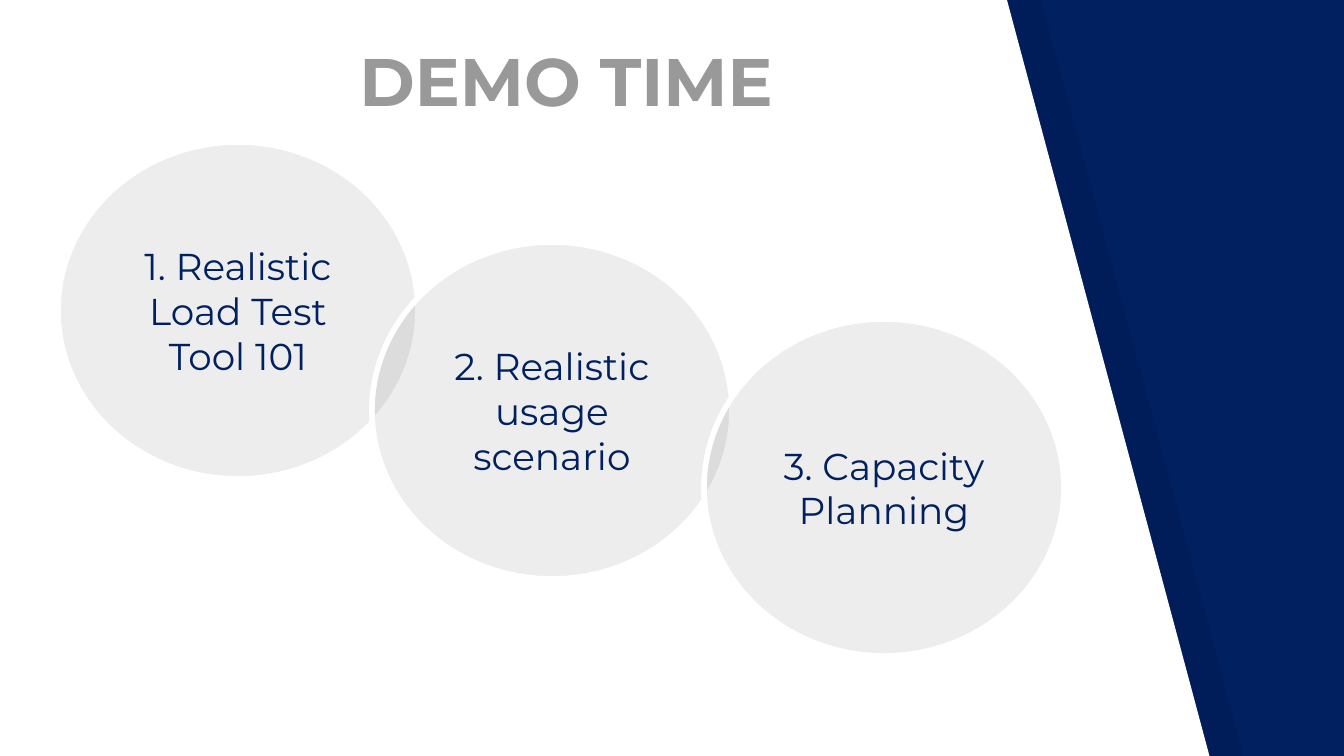
from dataclasses import dataclass
from lxml import etree
from pptx import Presentation
from pptx import util as u
from pptx.dml.color import RGBColor
from pptx.enum import shapes, text
from pptx.oxml.ns import qn

TITLE = "DEMO TIME"
TITLE_BOX = (124, 62, 884, 71)

# Wording, left, top
STEPS = [
    ("1. Realistic Load Test Tool 101", 58, 142),
    ("2. Realistic usage scenario", 372, 242),
    ("3. Capacity Planning", 704, 319),
]
STEP_SIZE = (360, 337)

PAGE_SIZE = (1344, 756)
PANEL = [(0, -1), (0, 758), (1210, 758), (1007, 0)]
PANEL_SHADE_SHIFT = 34


@dataclass(frozen=True)
class Theme:
    font: str = "Montserrat"
    navy: str = "002060"
    white: str = "FFFFFF"
    grey: str = "999999"
    black: str = "000000"
    shade_percent: int = 7
    title_size: int = 36
    step_size: int = 20
    outline: int = 3


THEME = Theme()


def px(length):
    return round(length * 914400 / 134.4)


def paint(shape, color, opacity=100):
    """Give a shape a flat fill, opacity in percent, and no shadow."""
    shape.shadow.inherit = False
    shape.fill.solid()
    shape.fill.fore_color.rgb = RGBColor.from_string(color)
    if opacity < 100:
        color_node = shape.fill._xPr.find(f"{qn('a:solidFill')}/{qn('a:srgbClr')}")
        etree.SubElement(color_node, qn("a:alpha"), val=str(opacity * 1000))


def write(shape, wording, anchor, size, color, bold=False):
    frame = shape.text_frame
    margins = dict.fromkeys(
        ("margin_left", "margin_top", "margin_right", "margin_bottom"), u.Inches(0.1))
    for name, value in {"word_wrap": True, "vertical_anchor": anchor, **margins}.items():
        setattr(frame, name, value)
    para = frame.paragraphs[0]
    para.alignment = text.PP_ALIGN.CENTER
    span = para.add_run()
    span.text = wording
    for name, value in {"name": THEME.font, "size": u.Pt(size), "bold": bold}.items():
        setattr(span.font, name, value)
    span.font.color.rgb = RGBColor.from_string(color)


def add_panel(page, shift, color, opacity=100):
    corners = [(px(x + shift), px(y)) for x, y in PANEL]
    builder = page.shapes.build_freeform(*corners[0])
    builder.add_line_segments(corners[1:], close=True)
    panel = builder.convert_to_shape()
    paint(panel, color, opacity)
    panel.line.fill.background()


def add_step(page, wording, left, top):
    circle = page.shapes.add_shape(
        shapes.MSO_SHAPE.OVAL, *map(px, (left, top, *STEP_SIZE)))
    paint(circle, THEME.black, THEME.shade_percent)
    circle.line.color.rgb = RGBColor.from_string(THEME.white)
    circle.line.width = u.Pt(THEME.outline)
    write(circle, wording, text.MSO_ANCHOR.MIDDLE, THEME.step_size, THEME.navy)


def main():
    deck = Presentation()
    deck.slide_width, deck.slide_height = map(px, PAGE_SIZE)
    page = deck.slides.add_slide(deck.slide_layouts[6])
    page.background.fill.solid()
    page.background.fill.fore_color.rgb = RGBColor.from_string(THEME.navy)

    add_panel(page, PANEL_SHADE_SHIFT, THEME.black, THEME.shade_percent)
    add_panel(page, 0, THEME.white)

    title = page.shapes.add_textbox(*map(px, TITLE_BOX))
    write(title, TITLE, text.MSO_ANCHOR.BOTTOM, THEME.title_size, THEME.grey, bold=True)
    for step in STEPS:
        add_step(page, *step)

    deck.save("out.pptx")


if __name__ == "__main__":
    main()
